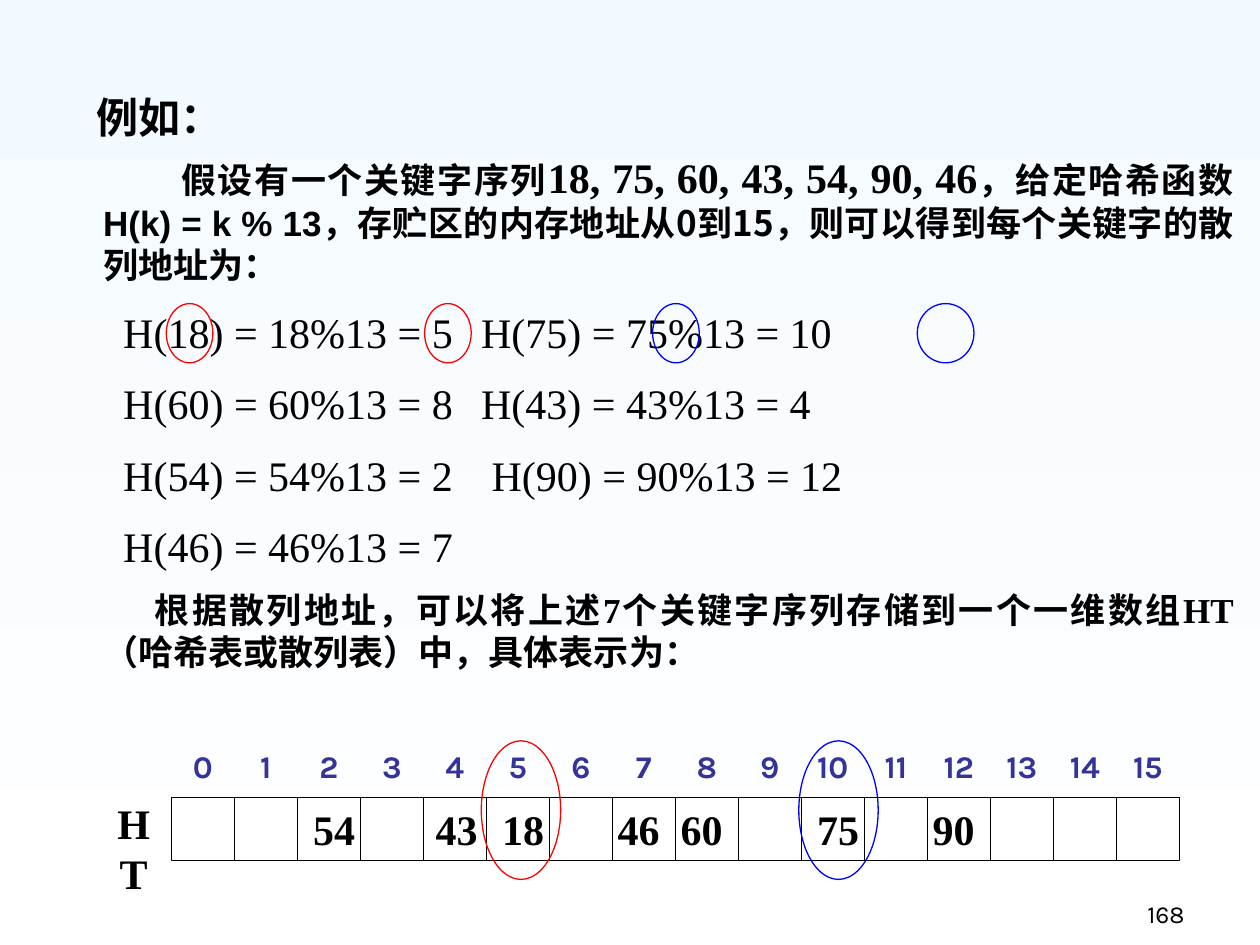
from typing import NamedTuple

from pptx import Presentation
from pptx import util as u
from pptx.dml.color import RGBColor
from pptx.enum import shapes, text
from pptx.oxml.ns import qn

BLACK = RGBColor(0, 0, 0)
RED = RGBColor(0xFF, 0, 0)
BLUE = RGBColor(0, 0, 0xFF)
INDIGO = RGBColor(0x33, 0x33, 0x99)
SKY = RGBColor(0xF3, 0xFA, 0xFF)
WHITE = RGBColor(0xFF, 0xFF, 0xFF)

TIMES, KARLA, ARIAL, CJK = "Times New Roman", "Karla", "Arial", "Noto Sans CJK SC"
LEFT, CENTER, RIGHT, JUSTIFY = (text.PP_ALIGN.LEFT, text.PP_ALIGN.CENTER,
                                text.PP_ALIGN.RIGHT, text.PP_ALIGN.JUSTIFY)
TOP, MIDDLE, BOTTOM = (text.MSO_ANCHOR.TOP, text.MSO_ANCHOR.MIDDLE,
                       text.MSO_ANCHOR.BOTTOM)

# Grid of the hash table: square cells, numbers in the row above
CELL, GRID_X, GRID_Y, SLOTS, MODULUS = 0.5, 1.36, 6.33, 16, 13
TAB = 4.03


class Box(NamedTuple):
    x: float
    y: float
    w: float
    h: float


class Run(NamedTuple):
    text: str
    size: float = 20
    font: str = CJK
    bold: bool = True
    color: RGBColor = BLACK


class Key(NamedTuple):
    value: int
    label: str
    align: text.PP_ALIGN = CENTER


class Ring(NamedTuple):
    box: Box
    color: RGBColor


KEYS = [Key(18, " 18"), Key(75, " 75"), Key(60, "60 "), Key(43, "43", LEFT),
        Key(54, " 54"), Key(90, "90 "), Key(46, "46 ")]

INTRO = [
    Run("假设有一个关键字序列"),
    Run("18, 75, 60, 43, 54, 90, 46", 24, TIMES),
    Run("，给定哈希函数"),
    Run("H(k) = k % 13", font=ARIAL),
    Run("，存贮区的内存地址从0到15，则可以得到每个关键字的散列地址为："),
]
CLOSING = [
    Run("根据散列地址，"),
    Run("可以将上述7个关键字序列存储到一个一维数组HT（哈希表或散列表）中，具体表示", font=TIMES),
    Run("为："),
]

RING_Y, RING_W, RING_H = 2.41, 0.37, 0.47
RINGS = [
    Ring(Box(1.32, RING_Y, RING_W, RING_H), RED),
    Ring(Box(3.37, RING_Y, RING_W, RING_H), RED),
    Ring(Box(3.82, 5.88, 0.63, 1.1), RED),
    Ring(Box(5.18, RING_Y, RING_W, RING_H), BLUE),
    Ring(Box(7.28, RING_Y, 0.45, RING_H), BLUE),
    Ring(Box(6.34, 5.88, 0.63, 1.1), BLUE),
]


def inches(box: Box) -> list:
    return [u.Inches(v) for v in box]


def add_runs(p, runs: list, align=LEFT) -> None:
    p.alignment = align
    for run in runs:
        r = p.add_run()
        r.text = run.text
        r.font.size, r.font.name, r.font.bold = u.Pt(run.size), run.font, run.bold
        r.font.color.rgb = run.color
        ea = r.font._element.makeelement(qn("a:ea"), {"typeface": CJK})
        r.font._element.find(qn("a:latin")).addnext(ea)


def format_paragraph(p, indent: float = 0, tab: float = 0) -> None:
    """Half a line before, a first-line indent and an optional tab stop."""
    pPr = p._p.get_or_add_pPr()
    pPr.set("marL", "0")
    pPr.set("indent", str(u.Inches(indent)))
    before = pPr.makeelement(qn("a:spcBef"), {})
    before.append(before.makeelement(qn("a:spcPct"), {"val": "50000"}))
    pPr.append(before)
    if tab:
        tabs = pPr.makeelement(qn("a:tabLst"), {})
        tabs.append(tabs.makeelement(
            qn("a:tab"), {"pos": str(u.Inches(tab)), "algn": "l"}))
        pPr.append(tabs)


def add_text(s, box: Box, runs: list, align=LEFT, anchor=TOP, wrap=True):
    tf = s.shapes.add_textbox(*inches(box)).text_frame
    tf.word_wrap, tf.vertical_anchor = wrap, anchor
    add_runs(tf.paragraphs[0], runs, align)
    return tf


def add_outline(s, kind, box: Box, color: RGBColor):
    sp = s.shapes.add_shape(kind, *inches(box))
    sp.shadow.inherit = False
    sp.fill.background()
    sp.line.color.rgb, sp.line.width = color, u.Pt(0.75)
    return sp


def formula(key: Key) -> str:
    k = key.value
    return f"H({k}) = {k}%{MODULUS} = {k % MODULUS}"


def add_body(s) -> None:
    tf = add_text(s, Box(0.72, 1.15, 9.17, 4.5), INTRO, JUSTIFY)
    format_paragraph(tf.paragraphs[0], 0.62)
    # Two formulas a line
    for i in range(0, len(KEYS), 2):
        line = "\t".join(formula(k) for k in KEYS[i:i + 2])
        if i == 4:
            line = line.replace("\t", "\t ")
        p = tf.add_paragraph()
        add_runs(p, [Run(line, 24, TIMES, False)], JUSTIFY)
        format_paragraph(p, 0.16, TAB)
    p = tf.add_paragraph()
    add_runs(p, CLOSING, JUSTIFY)
    format_paragraph(p, 0.41)


def add_hash_table(s) -> None:
    tf = add_text(s, Box(0.82, GRID_Y, 0.48, 0.4),
                  [Run("HT", 24, TIMES)], CENTER)
    tf.margin_left = tf.margin_right = tf.margin_top = tf.margin_bottom = 0
    stored = {k.value % MODULUS: k for k in KEYS}
    for slot in range(SLOTS):
        x = GRID_X + slot * CELL
        add_text(s, Box(x, GRID_Y - CELL, CELL, CELL),
                 [Run(str(slot), 18, KARLA, color=INDIGO)], CENTER, MIDDLE, False)
        sp = add_outline(s, shapes.MSO_SHAPE.RECTANGLE,
                         Box(x, GRID_Y, CELL, CELL), BLACK)
        if slot in stored:
            key, tf = stored[slot], sp.text_frame
            tf.word_wrap, tf.vertical_anchor = False, MIDDLE
            add_runs(tf.paragraphs[0], [Run(key.label, 24, TIMES)], key.align)


def main() -> None:
    prs = Presentation()
    prs.slide_width, prs.slide_height = u.Inches(10), u.Inches(7.5)
    s = prs.slides.add_slide(prs.slide_layouts[6])

    # Background, top to bottom
    fill = s.background.fill
    fill.gradient()
    fill.gradient_angle = 270
    for stop, color, pos in zip(fill.gradient_stops, (SKY, WHITE), (0, 1)):
        stop.color.rgb, stop.position = color, pos

    add_body(s)
    add_hash_table(s)

    # Heading and slide number
    tf = add_text(s, Box(0.67, 0.68, 1.57, 0.5), [Run("例如：", 24, KARLA)])
    format_paragraph(tf.paragraphs[0])
    add_text(s, Box(7.42, 6.92, 2.08, 0.5),
             [Run("168", 14, KARLA, False)], RIGHT, BOTTOM)

    # Rings around the traced keys and their addresses
    for ring in RINGS:
        add_outline(s, shapes.MSO_SHAPE.OVAL, ring.box, ring.color)

    prs.save("out.pptx")


if __name__ == "__main__":
    main()
